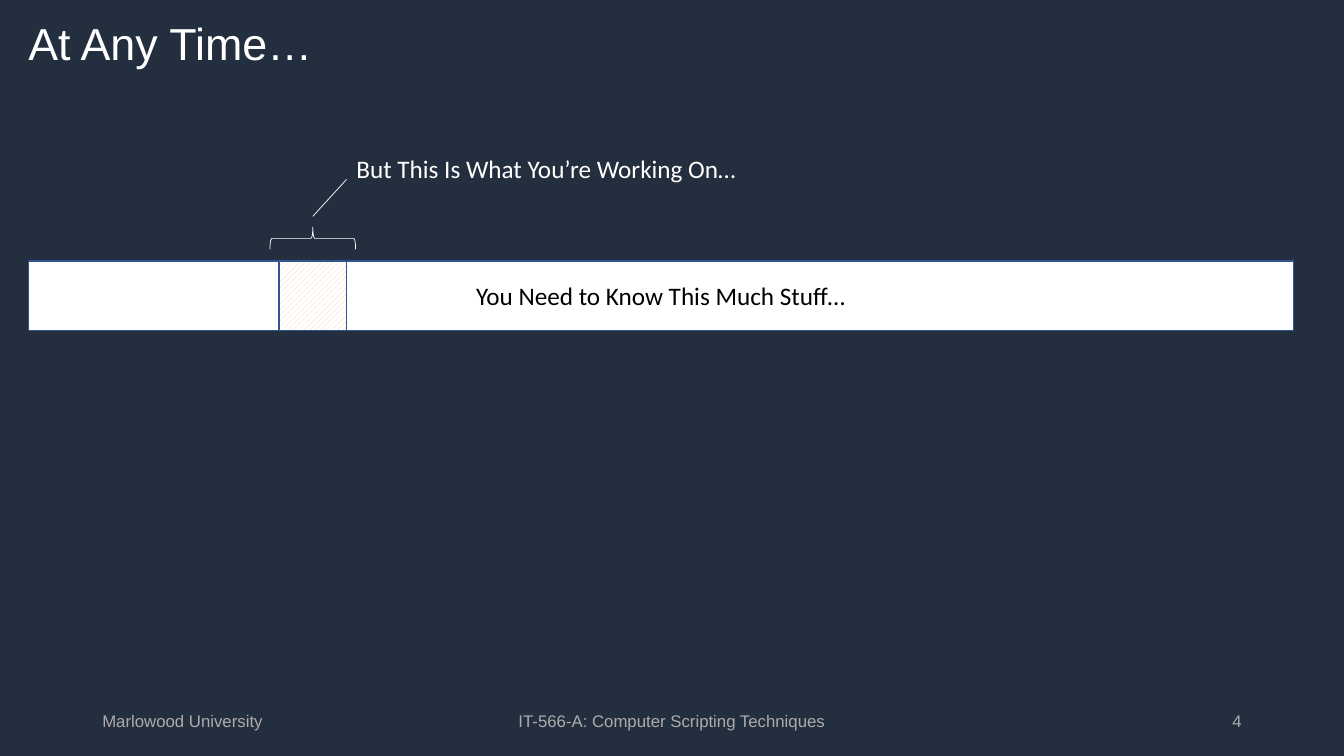
from pptx import Presentation
from pptx.dml.color import RGBColor
from pptx.enum.dml import MSO_PATTERN
from pptx.enum.shapes import MSO_CONNECTOR, MSO_SHAPE
from pptx.enum.text import MSO_ANCHOR, MSO_AUTO_SIZE, PP_ALIGN
from pptx.oxml.ns import qn
from pptx.util import Pt
from lxml import etree

LEFT, CENTER, RIGHT = PP_ALIGN.LEFT, PP_ALIGN.CENTER, PP_ALIGN.RIGHT
TOP, MIDDLE = MSO_ANCHOR.TOP, MSO_ANCHOR.MIDDLE
FIXED = MSO_AUTO_SIZE.NONE
HATCH = MSO_PATTERN.WIDE_UPWARD_DIAGONAL
RECT, BRACE = MSO_SHAPE.RECTANGLE, MSO_SHAPE.LEFT_BRACE
STRAIGHT = MSO_CONNECTOR.STRAIGHT

NAVY, WHITE, BLACK = "232E3E", "FFFFFF", "000000"
GREY, BLUE, PEACH = "AFABAB", "325491", "F8CBAD"


def tint(target, color):
    target.rgb = RGBColor.from_string(color)


def stroke(shape, color, width):
    tint(shape.line.color, color)
    shape.line.width = Pt(width)


def write(shape, text, font, size, color, align=LEFT, anchor=MIDDLE):
    frame = shape.text_frame
    frame.word_wrap = True
    frame.auto_size = FIXED
    frame.vertical_anchor = anchor
    para = frame.paragraphs[0]
    para.text = text
    para.alignment = align
    para.font.name = font
    para.font.size = Pt(size)
    tint(para.font.color, color)
    return para


def add_label(slide, box, *style):
    write(slide.shapes.add_textbox(*map(Pt, box)), *style)


def add_form(slide, kind, box, color, width):
    shape = slide.shapes.add_shape(kind, *map(Pt, box))
    shape.shadow.inherit = False
    stroke(shape, color, width)
    return shape


def add_line(slide, ends, color, width):
    line = slide.shapes.add_connector(STRAIGHT, *map(Pt, ends))
    stroke(line, color, width)
    etree.SubElement(line._element.spPr, qn("a:effectLst"))


def add_title(slide, text, box):
    title = slide.shapes.title
    title.left, title.top, title.width, title.height = map(Pt, box)
    write(title, text, "Arial", 32, WHITE).line_spacing = 0.9


def main():
    deck = Presentation()
    deck.slide_width, deck.slide_height = Pt(960), Pt(540)
    slide = deck.slides.add_slide(deck.slide_layouts[5])
    slide.background.fill.solid()
    tint(slide.background.fill.fore_color, NAVY)
    add_title(slide, "At Any Time…", (13, 10.8, 935.3, 43.9))

    # Footer row
    for left, width, text, align in (
        (66, 216, "Marlowood University", LEFT),
        (318, 324, "IT-566-A: Computer Scripting Techniques", CENTER),
        (678, 216, "4", RIGHT),
    ):
        add_label(slide, (left, 500.5, width, 28.75),
                  text, "Arial", 12, GREY, align)

    # Bar of all knowledge, with the slice in work
    top, high = 186.5, 49.5
    bar = add_form(slide, RECT, (20.2, top, 903.6, high), BLUE, 1)
    bar.fill.solid()
    tint(bar.fill.fore_color, WHITE)
    write(bar, "You Need to Know This Much Stuff…", "Calibri", 18, BLACK, CENTER)

    part = add_form(slide, RECT, (199.3, top, 48.3, high), BLUE, 1)
    part.fill.patterned()
    part.fill.pattern = HATCH
    tint(part.fill.fore_color, PEACH)
    tint(part.fill.back_color, WHITE)

    # Brace over the slice, with its callout
    brace = add_form(slide, BRACE, (215.5, 139.7, 15.8, 61.2), WHITE, 0.5)
    brace.fill.background()
    brace.rotation = 90
    add_label(slide, (247.5, 105.8, 296, 29),
              "But This Is What You’re Working On…", "Calibri", 18, WHITE, LEFT, TOP)
    add_line(slide, (223.4, 154.6, 247.5, 128.2), WHITE, 0.5)

    deck.save("out.pptx")


if __name__ == "__main__":
    main()
